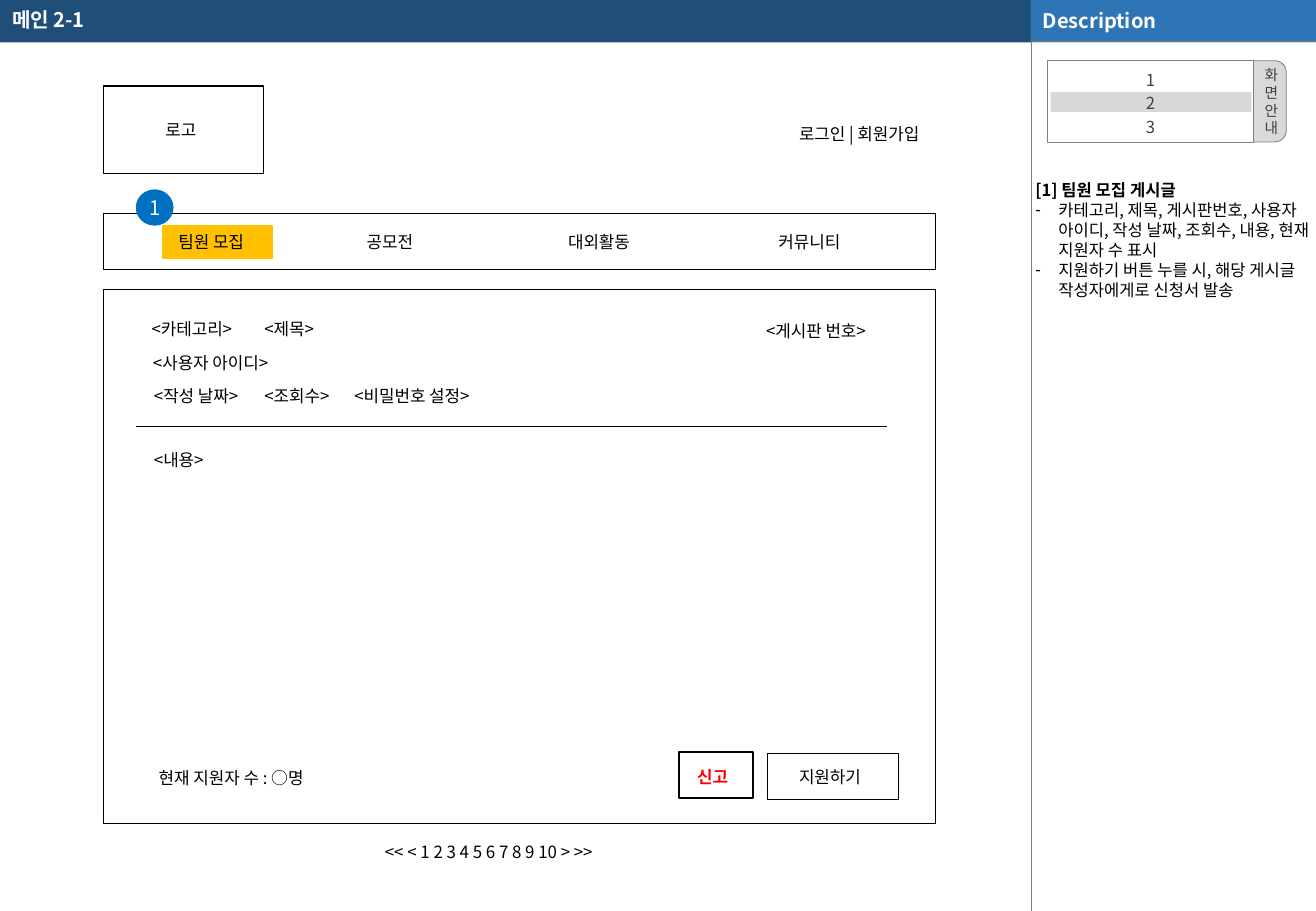
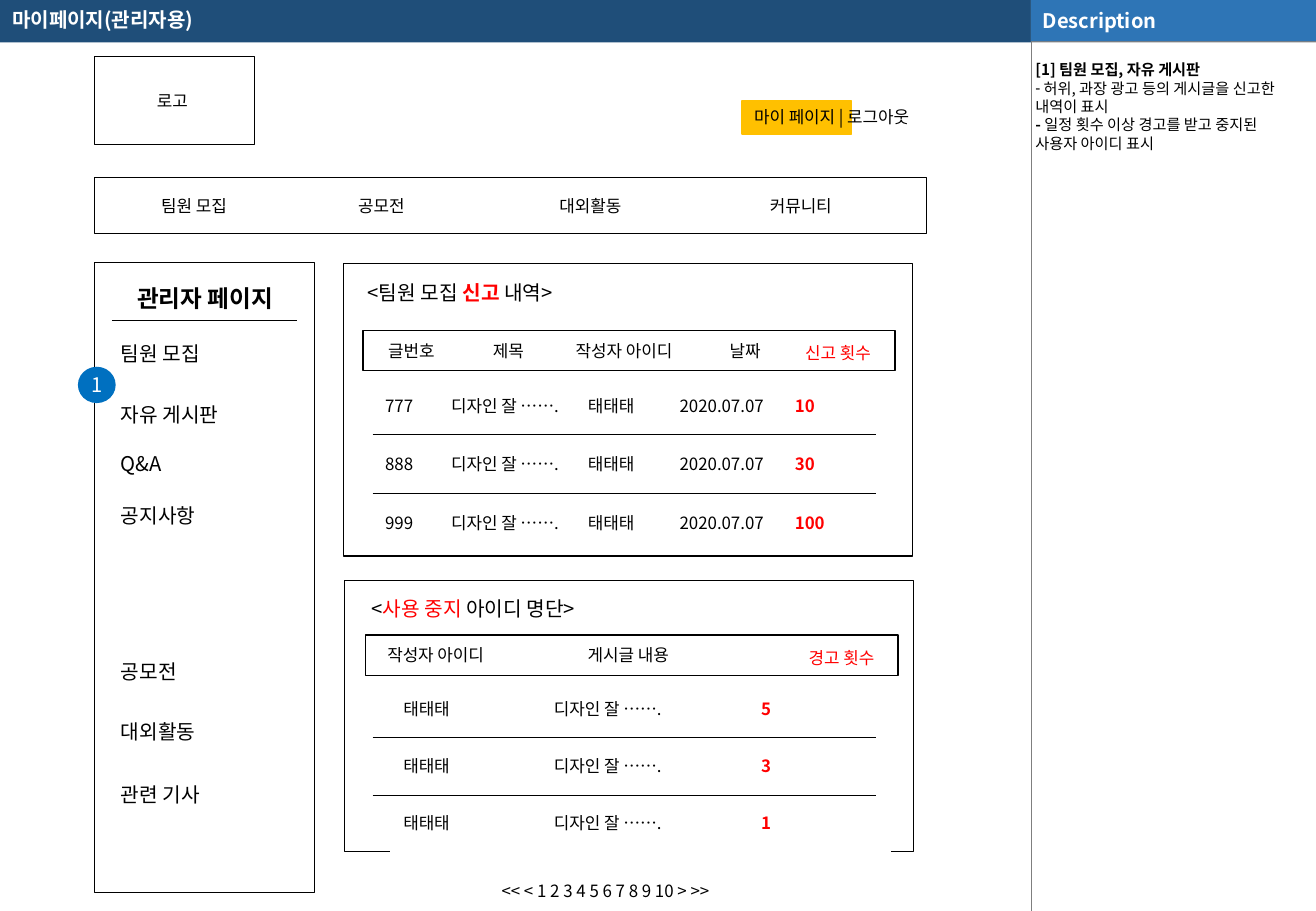
from lxml import etree
from pptx import Presentation
from pptx import util as u
from pptx.dml import color as dml
from pptx.enum import shapes, text
from pptx.oxml import ns

Cm, Pt = u.Cm, u.Pt
FONT = "Noto Sans CJK KR"
COLOURS = {
    "navy": "1F4E79", "blue": "2E75B6", "badge": "0070C0", "amber": "FFC000",
    "white": "FFFFFF", "black": "000000", "red": "FF0000", "dark": "404040",
    "grey": "808080", "rule": "7F7F7F", "pale": "D9D9D9",
}
RGB = {name: dml.RGBColor.from_string(value) for name, value in COLOURS.items()}
RECT = shapes.MSO_SHAPE.RECTANGLE
LEFT, CENTER, RIGHT = text.PP_ALIGN.LEFT, text.PP_ALIGN.CENTER, text.PP_ALIGN.RIGHT
MIDDLE = {"vertical_anchor": text.MSO_ANCHOR.MIDDLE}
GROW = {"auto_size": text.MSO_AUTO_SIZE.SHAPE_TO_FIT_TEXT}
FIXED = {"auto_size": text.MSO_AUTO_SIZE.NONE}
FLUSH = dict.fromkeys(("margin_left", "margin_right", "margin_top", "margin_bottom"), 0)
HEIGHTS = {10: 0.69, 12: 0.76, 14: 0.86}
PAGER = "<< < 1 2 3 4 5 6 7 8 9 10 > >>"
MENU = ["팀원 모집", "공모전", "대외활동", "커뮤니티"]


def draw(page, place, fill=None, line=None, weight=0.75, form=RECT):
    if form == "line":
        left, top, right, bottom = map(Cm, place)
        box = page.shapes.add_connector(shapes.MSO_CONNECTOR.STRAIGHT, left, top, right, bottom)
        etree.SubElement(box.element.spPr, ns.qn("a:effectLst"))
    else:
        box = page.shapes.add_shape(form, *map(Cm, place))
        box.shadow.inherit = False
        box.fill.background()
        if fill:
            box.fill.solid()
            box.fill.fore_color.rgb = RGB[fill]
    if line:
        box.line.color.rgb = RGB[line]
        box.line.width = Pt(weight)
    else:
        box.line.fill.background()
    return box


def write(box, paras, size, colour="black", bold=False, frame={}, form={}, bullets={}):
    box.text_frame.word_wrap = True
    for name, value in frame.items():
        setattr(box.text_frame, name, value)
    for index, spans in enumerate(paras):
        para = box.text_frame.paragraphs[0] if index == 0 else box.text_frame.add_paragraph()
        settings = para._p.get_or_add_pPr()
        hang = bullets.get(index, 0)
        settings.set("marL", str(Cm(hang)))
        settings.set("indent", str(-Cm(hang)))
        if index in bullets:
            etree.SubElement(settings, ns.qn("a:buChar"), char="-")
        else:
            etree.SubElement(settings, ns.qn("a:buNone"))
        for name, value in {"alignment": LEFT, "space_before": Pt(0), **form}.items():
            setattr(para, name, value)
        for words, *style in [(spans,)] if isinstance(spans, str) else spans:
            shade, strong = style or (colour, bold)
            span = para.add_run()
            span.text = words
            for name, value in {"name": FONT, "size": Pt(size), "bold": strong}.items():
                setattr(span.font, name, value)
            etree.SubElement(span._r.get_or_add_rPr(), ns.qn("a:ea"), typeface=FONT)
            span.font.color.rgb = RGB[shade]


deck = Presentation()
deck.slide_width, deck.slide_height = Cm(27.52), Cm(19.05)
layout = deck.slide_layouts[1]
for holder in list(layout.placeholders)[2:]:
    holder.element.getparent().remove(holder.element)
main = deck.slides.add_slide(layout)

bands = [
    draw(main, (0, 0, 21.56, 0.89), "navy"),
    draw(main, (21.56, 0, 5.96, 0.89), "grey"),
    draw(main, (21.56, 0, 21.56, 0.89), None, "white", 0.25, "line"),
    draw(main, (21.56, 0.86, 21.56, 19.05), None, "rule", 0.25, "line"),
    draw(main, (21.56, 0, 5.96, 0.86), "blue"),
]
write(bands[-1], ["Description"], 11.9, "white", True, MIDDLE)
for band in bands:
    layout.shapes._spTree.append(band.element)
admin = deck.slides.add_slide(layout)

main_notes = [
    "[1] 팀원 모집 게시글",
    "카테고리, 제목, 게시판번호, 사용자 아이디, 작성 날짜, 조회수, 내용, 현재 지원자 수 표시",
    "지원하기 버튼 누를 시, 해당 게시글 작성자에게로 신청서 발송",
]
admin_notes = [
    "[1] 팀원 모집, 자유 게시판",
    " 허위, 과장 광고 등의 게시글을 신고한 내역이 표시",
    [("- ", "black", True), ("일정 횟수 이상 경고를 받고 중지된 사용자 아이디 표시", "black", False)],
]
screens = [
    (main, "메인 2-1", main_notes, 9.8, 2.88, 0.1, {1: 0.48, 2: 0.48},
     2.16, 1.8, 4.47, 1.32, (3.4, 4.72)),
    (admin, "마이페이지(관리자용)", admin_notes, 9, 0.38, 0.3, {1: 0},
     1.98, 1.19, 3.71, 1.14, (15.52, 2.11)),
]
for page, title, notes, size, gap, edge, bullets, left, logo, menu, indent, mark in screens:
    heading, body = page.placeholders
    for holder, place in ((heading, (0, 0, 20.96, 0.89)), (body, (21.55, 0.89, 5.97, 18.16))):
        holder.left, holder.top, holder.width, holder.height = map(Cm, place)
    write(heading, [title], 11.9, "white", True, {**FIXED, **MIDDLE}, {"line_spacing": 0.9})
    first, *rest = notes
    write(body, [[(first, "black", True)], *rest], size, bullets=bullets, frame={
        **FIXED, "vertical_anchor": text.MSO_ANCHOR.TOP, "margin_left": Cm(0.1),
        "margin_right": Cm(edge), "margin_top": Cm(gap), "margin_bottom": 0})
    draw(page, (*mark, 2.29, 0.69), "amber", "amber", 1)
    draw(page, (left, logo, 3.35, 1.83), None, "black")
    draw(page, (left, menu, 17.4, 1.17), None, "black")
    labels = [(left + 1.05, logo + 0.58, 1.25, "로고")]
    labels += [(left + shift, menu + 0.25, 2.2, item)
               for shift, item in zip((indent, 5.26, 9.47, 13.87), MENU)]
    for x, y, width, words in labels:
        write(page.shapes.add_textbox(Cm(x), Cm(y), Cm(width), Cm(0.69)), [words], 10, frame=GROW)

guide = draw(main, (25.63, 1.27, 1.27, 1.7), "pale", "grey", 0.5, shapes.MSO_SHAPE.ROUNDED_RECTANGLE)
guide.adjustments[0] = 0.19
write(guide, list("화면안내"), 8.7, "dark", form={"alignment": RIGHT},
      frame={**MIDDLE, **FLUSH, "margin_right": Cm(0.1), "word_wrap": False})
steps = draw(main, (21.9, 1.27, 4.32, 1.7), "white", "grey", 0.5)
write(steps, list("123"), 9.8, "dark", form={"alignment": CENTER, "line_spacing": 1.2},
      frame={**MIDDLE, **dict.fromkeys(FLUSH, Cm(0.1)), "word_wrap": False})
current = draw(main, (21.97, 1.93, 4.2, 0.41), "dark")
shade = current.element.spPr.find(".//" + ns.qn("a:srgbClr"))
etree.SubElement(shade, ns.qn("a:alpha"), val="20000")

draw(main, (2.16, 6.05, 17.4, 11.18), None, "black")
draw(main, (2.84, 8.92, 18.54, 8.92), None, "black", 0.5, "line")
draw(main, (16.05, 15.75, 2.74, 0.97), None, "black")
draw(main, (14.2, 15.72, 1.55, 0.97), "white", "black", 1)
main_labels = [
    (16.46, 2.46, 3.35, 10, "로그인 | 회원가입"),
    (7.8, 17.48, 6.53, 10, PAGER),
    (2.92, 6.53, 2.59, 10, "<카테고리>"),
    (5.28, 6.53, 1.73, 10, "<제목>"),
    (15.77, 6.58, 3.1, 10, "<게시판 번호>"),
    (2.95, 7.26, 3.51, 10, "<사용자 아이디>"),
    (2.97, 7.95, 2.59, 10, "<작성 날짜>"),
    (5.28, 7.95, 2.31, 10, "<조회수>"),
    (7.16, 7.95, 3.66, 10, "<비밀번호 설정>"),
    (2.97, 9.27, 1.73, 10, "<내용>"),
    (3.07, 15.93, 3.96, 10, "현재 지원자 수 : ○명"),
    (16.46, 15.9, 1.96, 10, "지원하기"),
    (14.33, 15.9, 1.35, 10, [("신고", "red", True)]),
]

draw(admin, (1.98, 5.49, 4.6, 13.18), None, "black")
draw(admin, (2.34, 6.71, 6.22, 6.71), None, "black", 0.5, "line")
admin_labels = [
    (15.52, 2.11, 4.29, 10, "마이 페이지 | 로그아웃"),
    (10.24, 18.29, 5.74, 10, PAGER),
    (2.41, 5.82, 3.76, 14, [("관리자 페이지", "black", True)]),
    (7.44, 5.74, 5.18, 12, [("<팀원 모집 ",), ("신고", "red", True), (" 내역>",)]),
    (7.87, 6.99, 1.57, 10, "글번호"),
    (10.06, 6.99, 1.57, 10, "제목"),
    (11.79, 6.99, 2.84, 10, "작성자 아이디"),
    (15.01, 6.99, 1.57, 10, "날짜"),
    (16.59, 7.04, 2.06, 10, [("신고 횟수", "red", False)]),
    (7.52, 12.34, 6.02, 12, [("<",), ("사용 중지 ", "red", False), ("아이디 명단>",)]),
    (7.85, 13.36, 2.84, 10, "작성자 아이디"),
    (12.04, 13.36, 2.84, 10, "게시글 내용"),
    (16.66, 13.41, 2.06, 10, [("경고 횟수", "red", False)]),
]
side_items = ["팀원 모집", "자유 게시판", "Q&A", "공지사항", "공모전", "대외활동", "관련 기사"]
for y, item in zip((7.01, 8.28, 9.32, 10.41, 13.67, 14.91, 16.23), side_items):
    admin_labels.append((2.28, y, 3.43, 12, item))
for page, labels in ((main, main_labels), (admin, admin_labels)):
    for x, y, width, size, words in labels:
        box = page.shapes.add_textbox(Cm(x), Cm(y), Cm(width), Cm(HEIGHTS[size]))
        write(box, [words], size, frame=GROW, form={"alignment": CENTER if size == 14 else LEFT})

POST = "디자인 잘 ……."
panels = [
    ((7.19, 5.51, 11.89, 6.12), (7.59, 6.91, 11.13, 0.84), (9.09, 10.31),
     7.8, 7.85, 1.23, (1.38, 2.86, 1.92, 2.41, 2.25),
     [(number, POST, "태태태", "2020.07.07", count)
      for number, count in (("777", "10"), ("888", "30"), ("999", "100"))]),
    ((7.21, 12.14, 11.89, 5.66), (7.65, 13.28, 11.13, 0.84), (15.42, 16.64),
     8.18, 14.2, 1.2, (3.15, 4.33, 2.96),
     [("태태태", POST, count) for count in "531"]),
]
for panel, header, rules, left, top, height, widths, rows in panels:
    draw(admin, panel, None, "black")
    draw(admin, header, None, "black")
    place = map(Cm, (left, top, sum(widths), height * len(rows)))
    table = admin.shapes.add_table(len(rows), len(widths), *place).table
    table.first_row = table.horz_banding = False
    for column, width in zip(table.columns, widths):
        column.width = Cm(width)
    for row, values in zip(table.rows, rows):
        row.height = Cm(height)
        for index, (cell, value) in enumerate(zip(row.cells, values)):
            cell.fill.background()
            cell.margin_right = 0
            cell.vertical_anchor = text.MSO_ANCHOR.MIDDLE
            last = index == len(widths) - 1
            write(cell, [value], 10, "red" if last else "black", last)
    for y in rules:
        draw(admin, (7.79, y, 18.33, y), None, "black", 0.5, "line")

for page, x, y in ((main, 2.84, 3.96), (admin, 1.63, 7.67)):
    circle = draw(page, (x, y, 0.79, 0.76), "badge", form=shapes.MSO_SHAPE.OVAL)
    write(circle, ["1"], 11.9, "white", form={"alignment": CENTER},
          frame={**MIDDLE, **FLUSH, "word_wrap": False})

deck.save("out.pptx")
